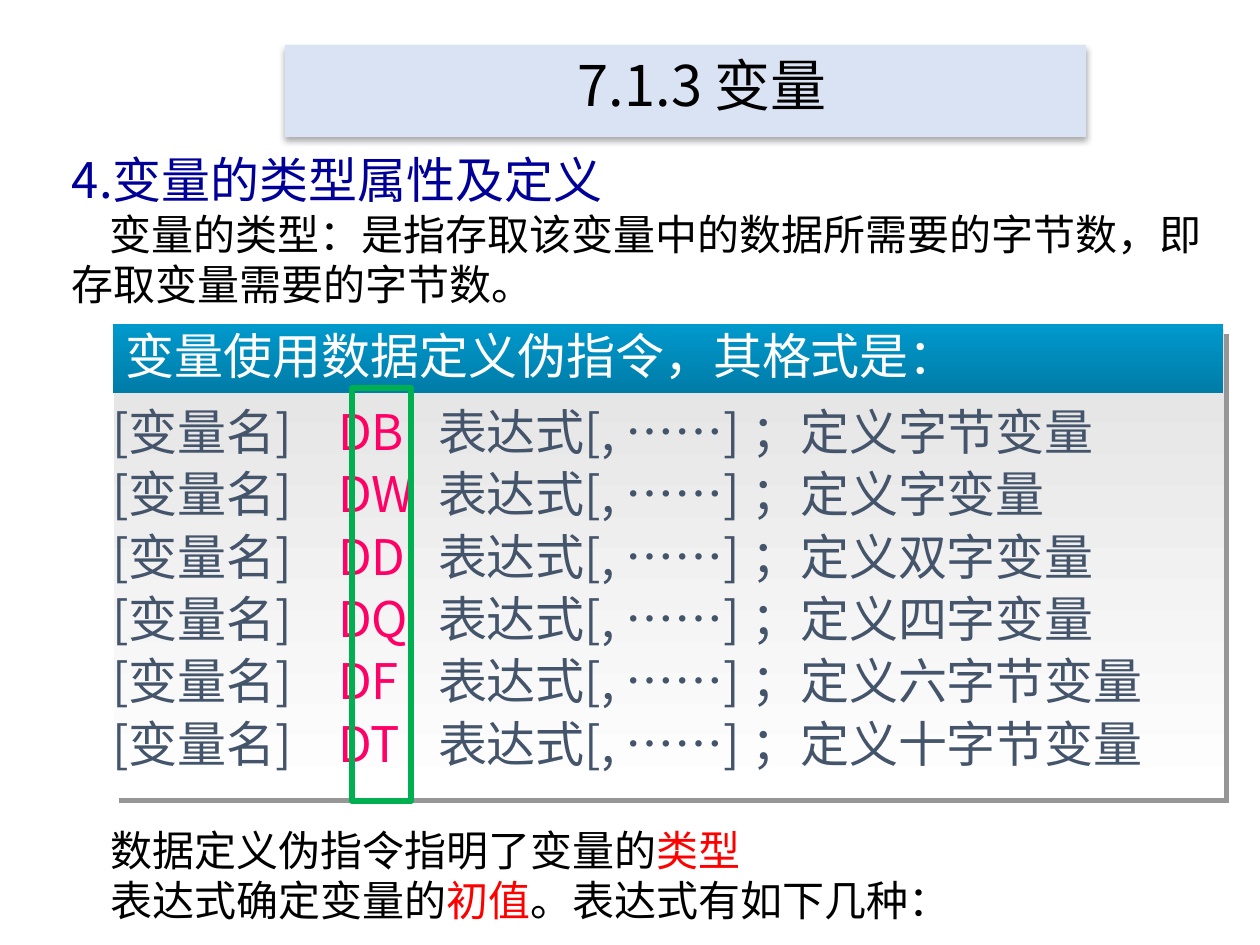
from dataclasses import dataclass

from lxml import etree
from pptx import Presentation
from pptx.dml.color import RGBColor
from pptx.enum.shapes import MSO_SHAPE
from pptx.enum.text import MSO_ANCHOR, PP_ALIGN
from pptx.oxml.ns import qn
from pptx.util import Pt

RECT, ROUND = MSO_SHAPE.RECTANGLE, MSO_SHAPE.ROUNDED_RECTANGLE
TOP, MIDDLE = MSO_ANCHOR.TOP, MSO_ANCHOR.MIDDLE
LEFT, CENTER = PP_ALIGN.LEFT, PP_ALIGN.CENTER
EMU_PER_PX = 914400 / 126


@dataclass(frozen=True)
class Theme:
    font: str = "Noto Sans CJK SC"
    title: int = 32
    head: int = 28
    body: int = 24
    head_line: float = 33.4
    body_line: float = 28.6
    row_line: float = 30
    row_gap: float = 5.6
    black: str = "000000"
    white: str = "FFFFFF"
    navy: str = "000099"
    slate: str = "44546A"
    pink: str = "FF0066"
    red: str = "FF0000"
    green: str = "00B050"
    pale: str = "DAE3F3"
    shade: str = "969696"
    panel: tuple = ("E2E2E2", "FFFFFF")
    banner: tuple = ("0099CC", "007CA8")


T = Theme()


def px(n):
    return round(n * EMU_PER_PX)


def rgb(value):
    return RGBColor.from_string(value)


def add_box(shapes, kind, box, fill=None):
    sp = shapes.add_shape(kind, *map(px, box))
    sp.shadow.inherit = False
    sp.line.fill.background()
    if kind == ROUND:
        sp.adjustments[0] = 0
    if fill is None:
        sp.fill.background()
    elif isinstance(fill, tuple):
        sp.fill.gradient()
        sp.fill.gradient_angle = 270
        for stop, color in zip(sp.fill.gradient_stops, fill):
            stop.color.rgb = rgb(color)
    else:
        sp.fill.solid()
        sp.fill.fore_color.rgb = rgb(fill)
    return sp


def add_shadow(sp, color, alpha, blur, dist, angle):
    effects = sp._element.spPr.find(qn("a:effectLst"))
    shadow = etree.SubElement(
        effects, qn("a:outerShdw"), blurRad=str(Pt(blur)), dist=str(Pt(dist)),
        dir=str(angle * 60000), algn="tl", rotWithShape="0")
    clr = etree.SubElement(shadow, qn("a:srgbClr"), val=color)
    etree.SubElement(clr, qn("a:alpha"), val=str(alpha * 1000))


def set_frame(sp, anchor=TOP, insets=(13, 10, 13, 6)):
    tf = sp.text_frame
    tf.word_wrap = True
    tf.vertical_anchor = anchor
    tf.margin_left, tf.margin_top, tf.margin_right, tf.margin_bottom = map(px, insets)
    return tf


def add_text(shapes, box):
    return set_frame(shapes.add_textbox(*map(px, box)))


def add_par(tf, runs, size, line=None, before=0, align=LEFT, indent=0, tabs=()):
    first = not tf.paragraphs[0].runs
    p = tf.paragraphs[0] if first else tf.add_paragraph()
    pPr = p._p.get_or_add_pPr()
    if tabs:
        tab_list = etree.SubElement(pPr, qn("a:tabLst"))
        for pos in tabs:
            etree.SubElement(tab_list, qn("a:tab"), pos=str(px(pos)), algn="l")
    if indent:
        pPr.set("indent", str(px(indent)))
    p.alignment = align
    if line:
        p.line_spacing = Pt(line)
    if not first:
        p.space_before = Pt(before)
    for text, color in runs:
        r = p.add_run()
        r.text = text
        r.font.size = Pt(size)
        r.font.color.rgb = rgb(color)
        r.font.name = T.font
        etree.SubElement(r._r.get_or_add_rPr(), qn("a:ea"), typeface=T.font)


def title_bar(s, box):
    sp = add_box(s.shapes, RECT, box, T.pale)
    add_shadow(sp, T.black, 32, 3.5, 2.2, 90)
    tf = set_frame(sp, MIDDLE, (47, 6, 13, 20))
    add_par(tf, [("7.1.3 变量", T.black)], T.title, align=CENTER)


def intro(s, box):
    tf = add_text(s.shapes, box)
    add_par(tf, [("4.变量的类型属性及定义", T.navy)], T.head, T.head_line)
    add_par(tf, [("变量的类型：是指存取该变量中的数据所需要的字节数，即存取变量需要的字节数。",
                  T.black)], T.body, T.body_line, indent=38)


def directive_panel(s, box):
    x, y, w, h = box
    shapes = s.shapes.add_group_shape().shapes
    panel = add_box(shapes, ROUND, (x + 1, y + 5, w, h - 5), T.panel)
    add_shadow(panel, T.shade, 100, 0, 4, 45)
    banner = add_box(shapes, ROUND, (x, y, w, 69), T.banner)
    tf = set_frame(banner, MIDDLE, (13, 0, 13, 8))
    add_par(tf, [("变量使用数据定义伪指令，其格式是：", T.white)], T.head)

    tf = add_text(s.shapes, (x - 14, y + 74, w + 32, 390))
    rows = [("DB", "字节"), ("DW", "字"), ("DD", "双字"),
            ("DQ", "四字"), ("DF", "六字节"), ("DT", "十字节")]
    for directive, unit in rows:
        runs = [("[变量名]\t", T.slate), (f"{directive}\t", T.pink),
                (f"表达式[, ……] ；定义{unit}变量", T.slate)]
        add_par(tf, runs, T.head, T.row_line, T.row_gap, tabs=(226, 326))


def directive_frame(s, box):
    sp = add_box(s.shapes, RECT, box)
    sp.line.color.rgb = rgb(T.green)
    sp.line.width = Pt(3.5)


def summary(s, box):
    tf = add_text(s.shapes, box)
    lines = [
        [("数据定义伪指令指明了变量的", T.black), ("类型", T.red)],
        [("表达式确定变量的", T.black), ("初值", T.red),
         ("。表达式有如下几种：", T.black)],
    ]
    for runs in lines:
        add_par(tf, runs, T.body, T.body_line)


def main():
    prs = Presentation()
    prs.slide_width, prs.slide_height = px(1260), px(945)
    s = prs.slides.add_slide(prs.slide_layouts[6])
    directive_panel(s, (113, 324, 1110, 474))
    summary(s, (98, 815, 1033, 115))
    intro(s, (59, 140, 1182, 174))
    directive_frame(s, (352, 388, 59, 413))
    title_bar(s, (285, 45, 801, 92))
    prs.save("out.pptx")


if __name__ == "__main__":
    main()
